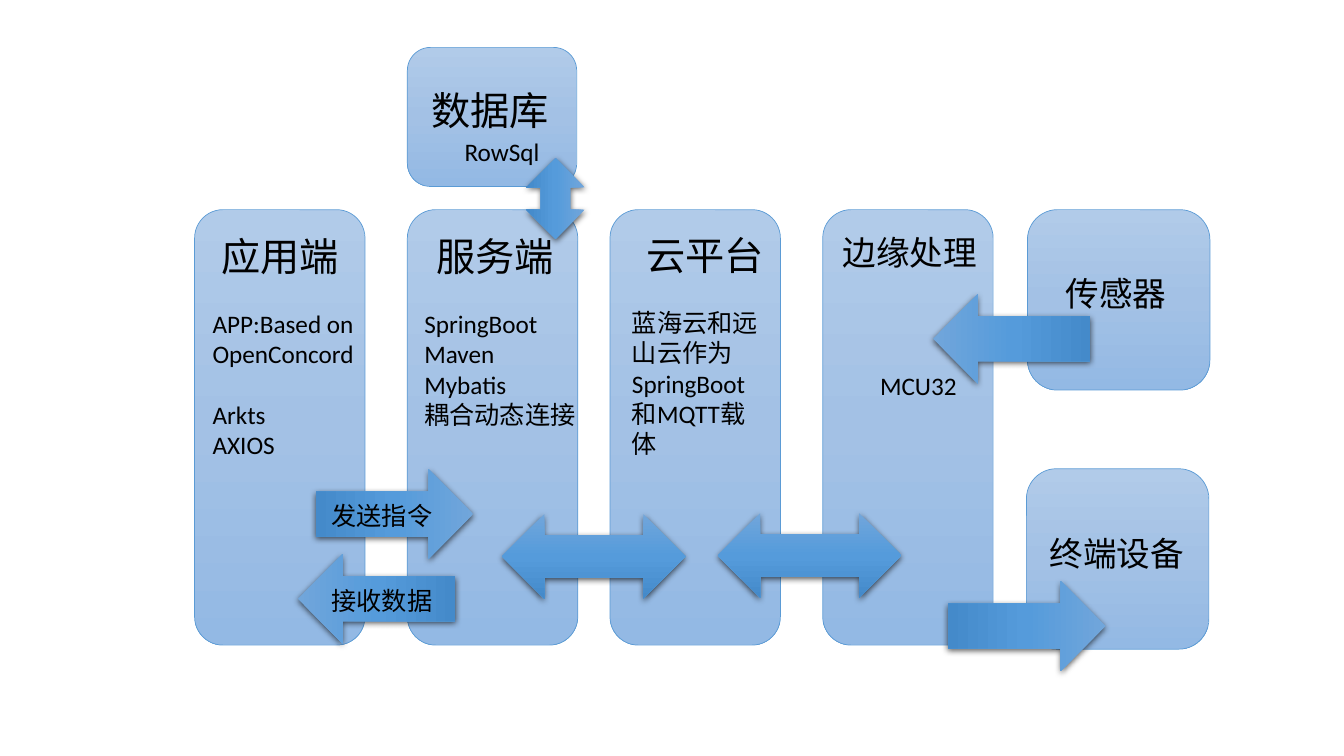
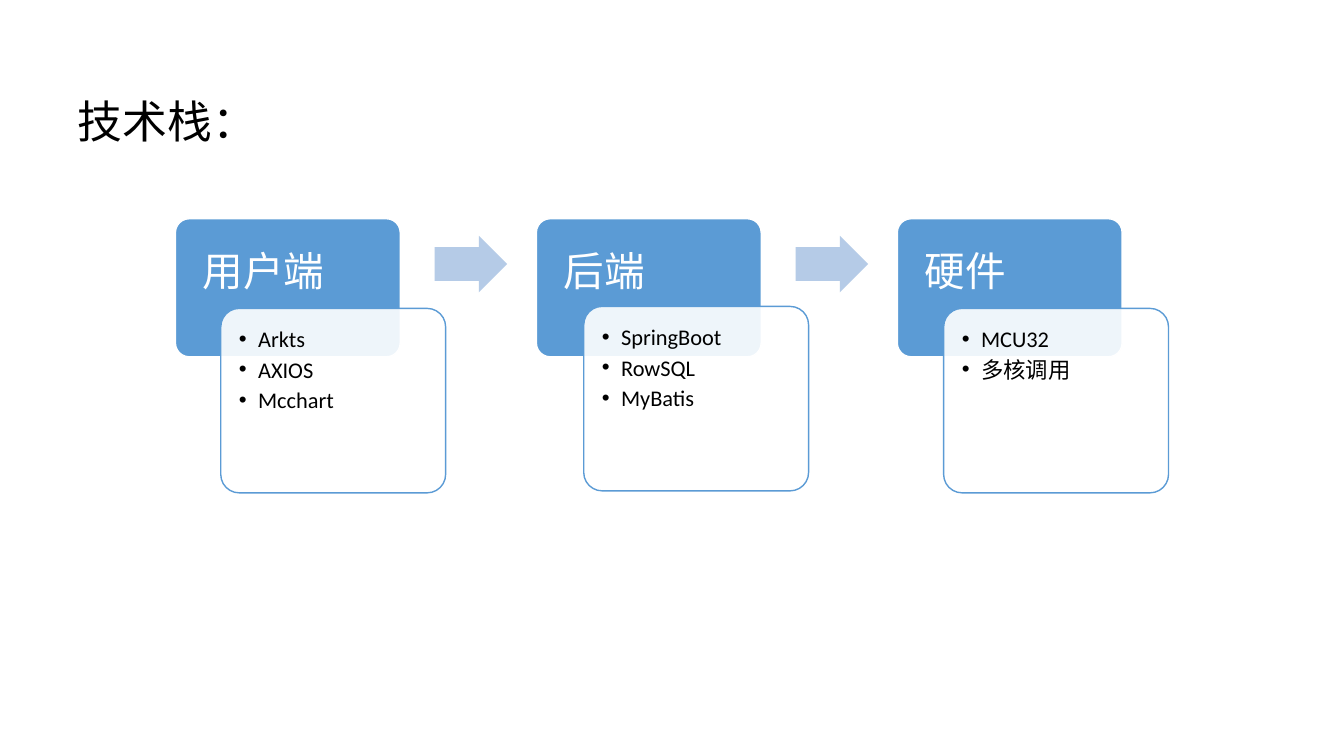
from copy import deepcopy

from lxml import etree
from pptx import Presentation
from pptx.dml.color import RGBColor
from pptx.enum.shapes import MSO_SHAPE
from pptx.enum.text import MSO_ANCHOR, MSO_AUTO_SIZE, PP_ALIGN
from pptx.oxml.ns import qn
from pptx.util import Inches, Pt

ROUNDED = MSO_SHAPE.ROUNDED_RECTANGLE
UP_ARROW = MSO_SHAPE.UP_ARROW
RIGHT_ARROW = MSO_SHAPE.RIGHT_ARROW
TWO_WAY_ARROW = MSO_SHAPE.LEFT_RIGHT_ARROW
LEFT = PP_ALIGN.LEFT
TOP = MSO_ANCHOR.TOP
NO_AUTOFIT = MSO_AUTO_SIZE.NONE

BLACK = RGBColor(0x00, 0x00, 0x00)
WHITE = RGBColor(0xFF, 0xFF, 0xFF)
BLUE = RGBColor(0x5B, 0x9B, 0xD5)
PALE_BLUE = RGBColor(0xB5, 0xCB, 0xE7)
BLOCK_GRADIENT = (RGBColor(0xB1, 0xCB, 0xE9), RGBColor(0xA3, 0xC1, 0xE5),
                  RGBColor(0x93, 0xB9, 0xE4))
ARROW_GRADIENT = (RGBColor(0x71, 0xA6, 0xDB), RGBColor(0x55, 0x9B, 0xDB),
                  RGBColor(0x44, 0x8A, 0xCA))
LATIN_FONT = "Calibri"
CHINESE_FONT = "Noto Sans CJK SC"

COLUMN_SIZE = (1.69, 4.32)
DEVICE_SIZE = (1.81, 1.79)
BLOCKS = [
    *((left, 2.08, *COLUMN_SIZE) for left in (1.93, 4.04, 6.05, 8.16)),
    (10.19, 2.08, *DEVICE_SIZE),
    (10.18, 4.65, *DEVICE_SIZE),
    (4.04, 0.47, 1.68, 1.38),
]
BLOCK_TITLES = [
    ("应用端", 2.1, 2.26, 28),
    ("服务端", 4.23, 2.26, 28),
    ("云平台", 6.31, 2.25, 28),
    ("数据库", 4.18, 0.81, 28),
    ("边缘处理", 8.26, 2.25, 24),
    ("传感器", 10.47, 2.66, 24),
    ("终端设备", 10.31, 5.24, 24),
]
BLOCK_DETAILS = [
    (["SpringBoot", "Maven", "Mybatis", "耦合动态连接"], (4.11, 3.01, 1.82, 1.62)),
    (["蓝海云和远山云作为SpringBoot和MQTT载体"], (6.17, 3, 1.46, 1.62)),
    (["MCU32"], (8.63, 3.62, 1.46, 0.4)),
    (["RowSql"], (4.51, 1.3, 1.46, 0.4)),
]
ONE_WAY_ARROWS = [(3.47, 4.32, 90), (3.29, 5.16, 270), (9.74, 5.43, 90), (9.59, 2.58, 270)]
TWO_WAY_ARROWS = [
    ((4.98, 5.1, 1.82, 0.84), 0),
    ((7.12, 5.09, 1.82, 0.84), 0),
    ((5.11, 1.68, 0.8, 0.58), 90),
]
COMMANDS = [("发送指令", 4.91), ("接收数据", 5.76)]

CARD_LEFT, CARD_TOP, CARD_STEP = 1.74, 2.17, 3.58
STACK = [
    ("用户端", ["Arkts", "AXIOS", "Mcchart"], 2.19, 3.06),
    ("后端", ["SpringBoot", "RowSQL", "MyBatis"], 5.79, 3.04),
    ("硬件", ["MCU32", "多核调用"], 9.36, 3.06),
]


def inches(values):
    return [Inches(value) for value in values]


def write(frame, lines, size, color=BLACK, font=LATIN_FONT):
    frame.word_wrap = True
    frame.auto_size = NO_AUTOFIT
    frame.vertical_anchor = TOP
    frame.text = "\n".join(lines)
    for paragraph in frame.paragraphs:
        paragraph.alignment = LEFT
        for run in paragraph.runs:
            run.font.size = Pt(size)
            run.font.bold = False
            run.font.color.rgb = color
            run.font.name = font
            properties = run.font._element
            etree.SubElement(properties, qn("a:ea"), typeface=CHINESE_FONT)


def set_insets(frame, left, top, right, bottom):
    frame.margin_left, frame.margin_top = Inches(left), Inches(top)
    frame.margin_right, frame.margin_bottom = Inches(right), Inches(bottom)


def add_label(slide, lines, box, size, font=LATIN_FONT):
    frame = slide.shapes.add_textbox(*inches(box)).text_frame
    write(frame, lines, size, font=font)
    return frame


def add_figure(slide, kind, box, line=None, width=1):
    figure = slide.shapes.add_shape(kind, *inches(box))
    figure.shadow.inherit = False
    if line is None:
        figure.line.fill.background()
    else:
        figure.line.color.rgb = line
        figure.line.width = Pt(width)
    return figure


def fill_solid(figure, color):
    figure.fill.solid()
    figure.fill.fore_color.rgb = color


def fill_gradient(figure, colors):
    figure.fill.gradient()
    figure.fill.gradient_angle = 270
    stop_list = figure._element.spPr.find(".//" + qn("a:gsLst"))
    stop_list.insert(1, deepcopy(stop_list[0]))
    for stop, color, position in zip(figure.fill.gradient_stops, colors, (0, 0.5, 1)):
        stop.color.rgb = color
        stop.position = position


def add_shadow(figure):
    effects = figure._element.spPr.find(qn("a:effectLst"))
    shadow = etree.SubElement(effects, qn("a:outerShdw"), blurRad=str(Pt(4.5)),
                              dist=str(Pt(1.5)), dir="5400000", rotWithShape="0")
    shade = etree.SubElement(shadow, qn("a:srgbClr"), val=str(BLACK))
    etree.SubElement(shade, qn("a:alpha"), val="63000")


def add_flow_arrow(slide, kind, box, rotation):
    arrow = add_figure(slide, kind, box)
    arrow.rotation = rotation
    fill_gradient(arrow, ARROW_GRADIENT)
    add_shadow(arrow)


def add_bullets(frame):
    for paragraph in frame.paragraphs:
        paragraph.space_before = Pt(0)
        paragraph.space_after = Pt(2.4)
        properties = paragraph._p.get_or_add_pPr()
        properties.set("marL", str(Inches(0.19)))
        properties.set("indent", str(Inches(-0.19)))
        etree.SubElement(properties, qn("a:buChar"), char="•")


def place(slide, placeholder, box):
    placeholder.left, placeholder.top, placeholder.width, placeholder.height = inches(box)
    slide.shapes._spTree.append(placeholder._element)


def add_stack_card(slide, left, heading):
    card = add_figure(slide, ROUNDED, (left, CARD_TOP, 2.23, 1.37), WHITE)
    card.adjustments[0] = 0.1
    fill_solid(card, BLUE)
    write(card.text_frame, [heading], 29, WHITE)
    set_insets(card.text_frame, 0.23, 0.23, 0.23, 0.12)


def add_stack_list(slide, placeholder, items, left, top):
    panel = add_figure(slide, ROUNDED, (left, top, 2.23, 1.83), BLUE)
    panel.adjustments[0] = 0.1
    fill_solid(panel, WHITE)
    tint = panel._element.spPr.find(qn("a:solidFill"))[0]
    etree.SubElement(tint, qn("a:alpha"), val="90000")
    place(slide, placeholder, (left + 0.06, top + 0.05, 2.12, 1.72))
    write(placeholder.text_frame, items, 16)
    set_insets(placeholder.text_frame, 0.12, 0.12, 0.12, 0.12)
    add_bullets(placeholder.text_frame)


def build_architecture(slide):
    for box in BLOCKS:
        block = add_figure(slide, ROUNDED, box, BLUE, 0.5)
        fill_gradient(block, BLOCK_GRADIENT)
    for title, left, top, size in BLOCK_TITLES:
        add_label(slide, [title], (left, top, 1.68, 0.57), size)
    app = add_label(slide, ["APP:Based on OpenConcord", "Arkts", "AXIOS"],
                    (2.01, 3.01, 1.82, 1.62), 18)
    app.paragraphs[1].space_before = Pt(21.6)
    for lines, box in BLOCK_DETAILS:
        add_label(slide, lines, box, 18)
    for left, top, rotation in ONE_WAY_ARROWS:
        add_flow_arrow(slide, UP_ARROW, (left, top, 0.89, 1.56), rotation)
    for box, rotation in TWO_WAY_ARROWS:
        add_flow_arrow(slide, TWO_WAY_ARROW, box, rotation)
    for command, top in COMMANDS:
        add_label(slide, [command], (3.19, top, 1.23, 0.4), 18, CHINESE_FONT)


def build_tech_stack(slide):
    title, *lists, spare = slide.placeholders
    place(slide, title, (0.67, 0.88, 6.66, 0.64))
    write(title.text_frame, ["技术栈："], 32)
    spare._element.getparent().remove(spare._element)
    for index, (heading, items, list_left, list_top) in enumerate(STACK):
        left = CARD_LEFT + index * CARD_STEP
        add_stack_card(slide, left, heading)
        add_stack_list(slide, lists[index], items, list_left, list_top)
        if index < len(STACK) - 1:
            arrow = add_figure(slide, RIGHT_ARROW, (left + 2.57, 2.34, 0.72, 0.56))
            arrow.adjustments[0] = 0.6
            fill_solid(arrow, PALE_BLUE)


def main():
    deck = Presentation()
    deck.slide_width, deck.slide_height = Inches(13.33), Inches(7.5)
    blank, comparison = deck.slide_layouts[6], deck.slide_layouts[4]
    build_architecture(deck.slides.add_slide(blank))
    build_tech_stack(deck.slides.add_slide(comparison))
    deck.save("out.pptx")


if __name__ == "__main__":
    main()
